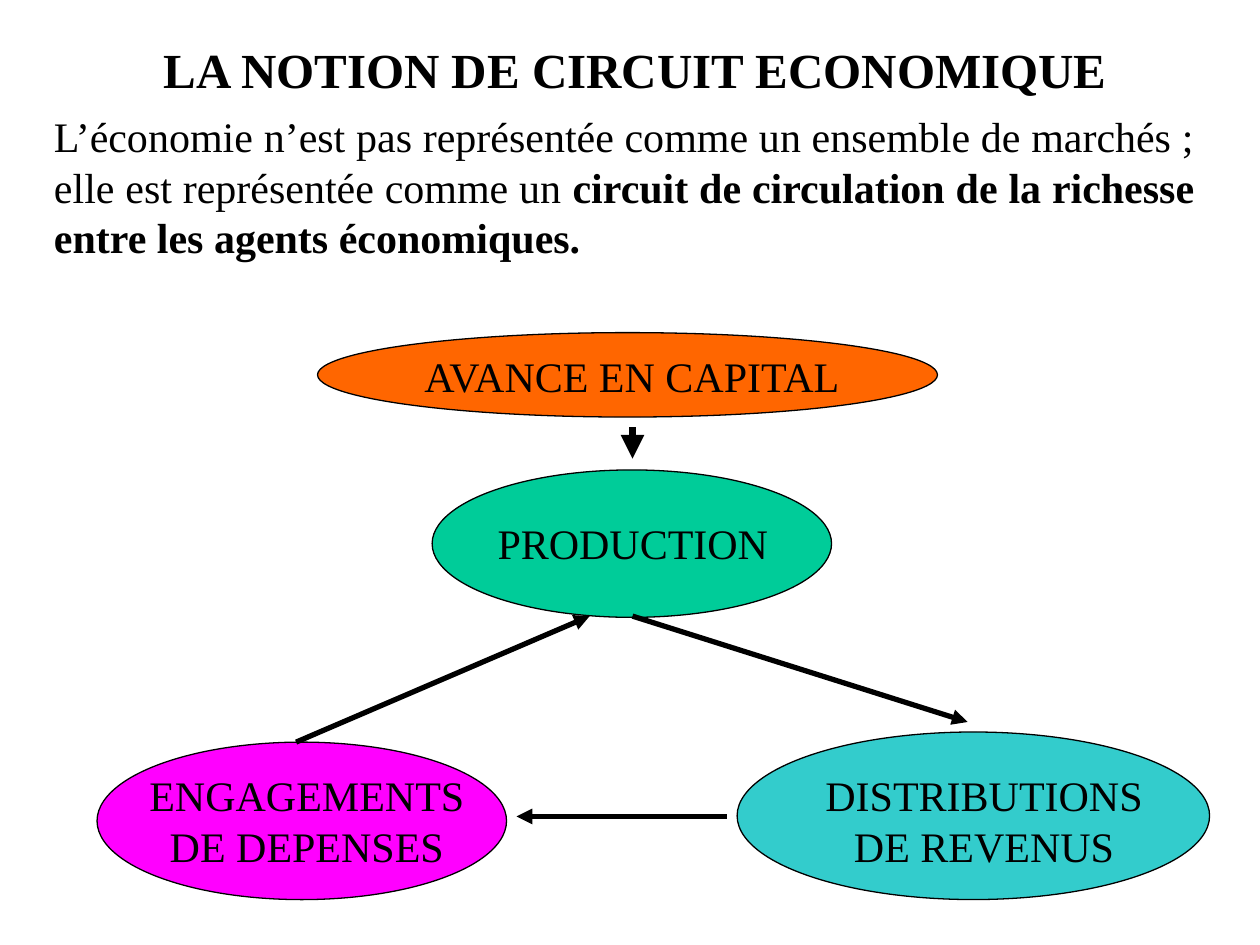
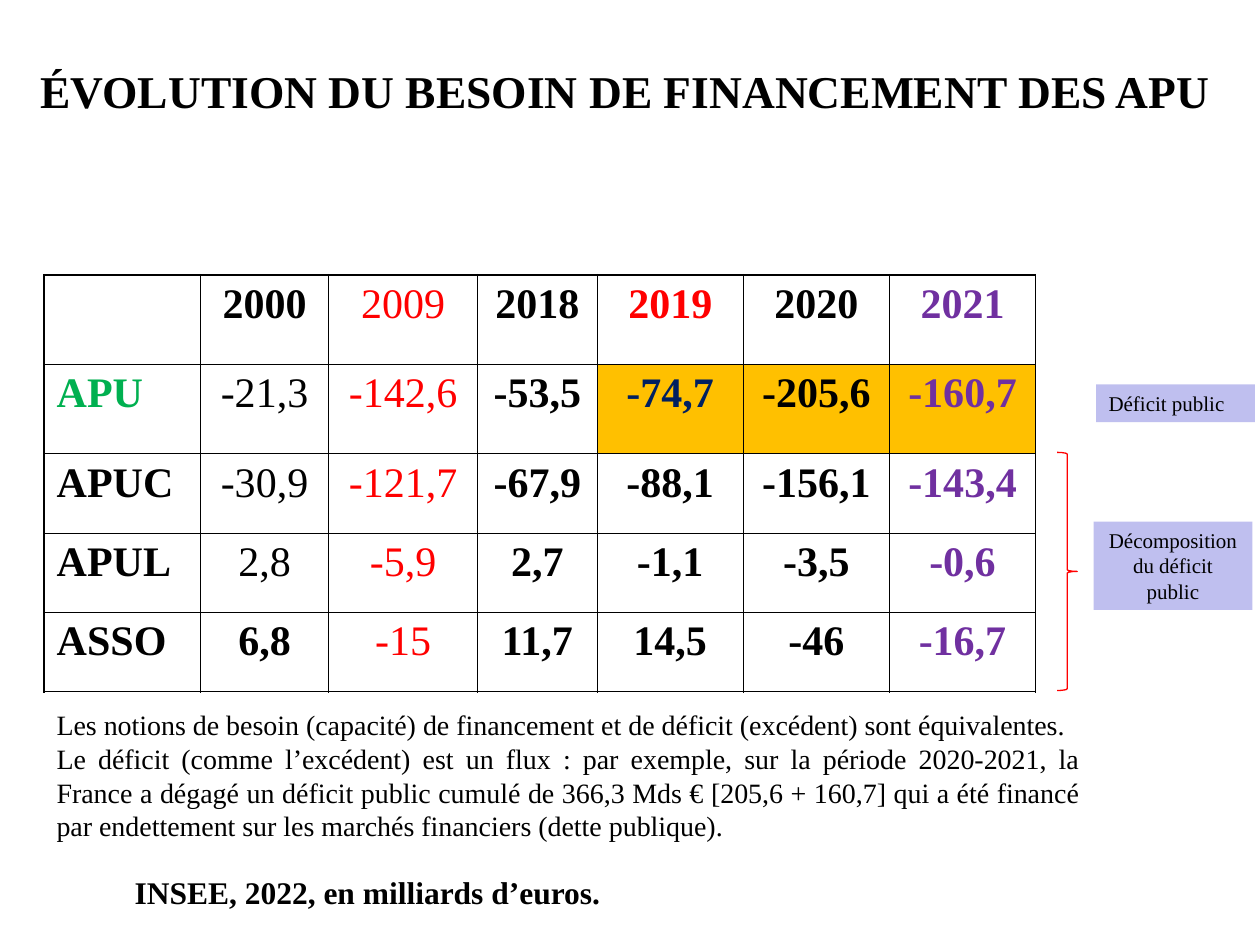
from dataclasses import dataclass

from lxml import etree
from pptx import Presentation
from pptx import util as u
from pptx.dml.color import RGBColor
from pptx.enum import shapes, text
from pptx.oxml import ns


@dataclass(frozen=True)
class Theme:
    font: str = "Times New Roman"
    black: str = "000000"
    red: str = "FF0000"
    purple: str = "7030A0"
    green: str = "00B050"
    navy: str = "002060"
    amber: str = "FFC000"
    indigo: str = "3333CC"
    capital: str = "FF6600"
    production: str = "00CC99"
    revenues: str = "33CCCC"
    spending: str = "FF00FF"
    body: int = 24
    source: int = 18
    comment: int = 16
    note: int = 12
    thin: float = 0.45
    outline: float = 0.75
    frame: float = 1.08
    arrow: float = 3


@dataclass(frozen=True)
class Box:
    left: float
    top: float
    width: float
    height: float

    def inner(self, left, top, width, height):
        return Box(self.left + left, self.top + top, width, height)

    def point(self, x, y):
        return u.Inches(self.left + x), u.Inches(self.top + y)

    @property
    def lengths(self):
        return [u.Inches(v) for v in (self.left, self.top, self.width, self.height)]


THEME = Theme()
LEFT, CENTER, JUSTIFY = (text.PP_ALIGN.LEFT, text.PP_ALIGN.CENTER,
                         text.PP_ALIGN.JUSTIFY)


# Shared helpers
def rgb(code):
    return RGBColor.from_string(code)


def write(frame, paragraphs, size, align=LEFT, color=THEME.black,
          anchor=text.MSO_ANCHOR.TOP):
    """Fill a frame; each paragraph is a list of (words, bold) runs."""
    settings = {"word_wrap": True, "auto_size": text.MSO_AUTO_SIZE.NONE,
                "vertical_anchor": anchor}
    for key, value in settings.items():
        setattr(frame, key, value)
    for index, runs in enumerate(paragraphs):
        paragraph = frame.add_paragraph() if index else frame.paragraphs[0]
        paragraph.alignment = align
        for words, bold in runs:
            run = paragraph.add_run()
            run.text = words
            font = {"name": THEME.font, "size": u.Pt(size), "bold": bold}
            for key, value in font.items():
                setattr(run.font, key, value)
            run.font.color.rgb = rgb(color)


def paint(fill, color, opacity=100):
    fill.solid()
    fill.fore_color.rgb = rgb(color)
    if opacity < 100:
        tint = fill._xPr.find(".//" + ns.qn("a:srgbClr"))
        etree.SubElement(tint, ns.qn("a:alpha"), val=str(opacity * 1000))


def add_title(slide, box, words, size):
    title = slide.shapes.title
    title.left, title.top, title.width, title.height = box.lengths
    write(title.text_frame, [[(words, True)]], size, CENTER,
          anchor=text.MSO_ANCHOR.MIDDLE)


def add_text(slide, box, paragraphs, size, align=LEFT):
    write(slide.shapes.add_textbox(*box.lengths).text_frame, paragraphs, size, align)


def add_outlined(slide, kind, box, line, fill=None):
    shape = slide.shapes.add_shape(kind, *box.lengths)
    shape.shadow.inherit = False
    shape.line.color.rgb = rgb(line)
    shape.line.width = u.Pt(THEME.outline)
    if fill:
        paint(shape.fill, fill)
    else:
        shape.fill.background()


def add_arrow(slide, start, end, width):
    arrow = slide.shapes.add_connector(shapes.MSO_CONNECTOR.STRAIGHT, *start, *end)
    arrow.line.color.rgb = rgb(THEME.black)
    arrow.line.width = u.Pt(width)
    etree.SubElement(arrow.line._get_or_add_ln(), ns.qn("a:tailEnd"), type="triangle")
    etree.SubElement(arrow._element.spPr, ns.qn("a:effectLst"))


# Slide 1: the economic circuit
def draw_circuit(slide, box):
    stages = [
        ("AVANCE EN CAPITAL", THEME.capital, LEFT,
         (1.75, 0, 4.92, 0.67), (2.5, 0.09, 3.67, 0.5)),
        ("PRODUCTION", THEME.production, LEFT,
         (2.66, 1.09, 3.17, 1.17), (3.08, 1.42, 2.58, 0.5)),
        ("DISTRIBUTIONS DE REVENUS", THEME.revenues, CENTER,
         (5.08, 3.17, 3.75, 1.33), (5.58, 3.42, 2.92, 0.9)),
        ("ENGAGEMENTS DE DEPENSES", THEME.spending, CENTER,
         (0, 3.25, 3.25, 1.25), (0.25, 3.42, 2.83, 0.9)),
    ]
    for label, color, align, oval, label_area in stages:
        add_outlined(slide, shapes.MSO_SHAPE.OVAL, box.inner(*oval), THEME.black, color)
        add_text(slide, box.inner(*label_area), [[(label, False)]], THEME.body, align)

    flows = [
        ((4.25, 0.75), (4.25, 1), THEME.arrow * 1.5),
        ((4.25, 2.25), (6.91, 3.09), THEME.arrow),
        ((5, 3.84), (3.33, 3.84), THEME.arrow),
        ((1.58, 3.25), (3.91, 2.25), THEME.arrow),
    ]
    for start, end, width in flows:
        add_arrow(slide, box.point(*start), box.point(*end), width)


def build_circuit_slide(slide):
    add_title(slide, Box(0.5, 0.17, 9.08, 0.75), "LA NOTION DE CIRCUIT ECONOMIQUE", 28)
    definition = [
        ("L’économie n’est pas représentée comme un ensemble de marchés ; "
         "elle est représentée comme un ", False),
        ("circuit de circulation de la richesse entre les agents économiques.", True),
    ]
    add_text(slide, Box(0.33, 0.83, 9.25, 1.3), [definition], THEME.body, JUSTIFY)
    draw_circuit(slide, Box(0.77, 2.64, 8.83, 4.5))


# Slide 2: public financing needs
BALANCES = [
    ["", "2000", "2009", "2018", "2019", "2020", "2021"],
    ["APU", "-21,3", "-142,6", "-53,5", "-74,7", "-205,6", "-160,7"],
    ["APUC", "-30,9", "-121,7", "-67,9", "-88,1", "-156,1", "-143,4"],
    ["APUL", "2,8", "-5,9", "2,7", "-1,1", "-3,5", "-0,6"],
    ["ASSO", "6,8", "-15", "11,7", "14,5", "-46", "-16,7"],
]
YEAR_COLORS = {2: THEME.red, 6: THEME.purple}
CELL_COLORS = {(0, 4): THEME.red, (1, 0): THEME.green, (1, 4): THEME.navy}
LIGHT_CELLS = {(1, 1), (2, 1), (3, 1)}
HIGHLIGHTED = {(1, 4), (1, 5), (1, 6)}


def set_borders(cell, outer_sides):
    properties = cell._tc.get_or_add_tcPr()
    for side in "LRTB":
        width = THEME.frame if side in outer_sides else THEME.thin
        line = etree.SubElement(properties, ns.qn(f"a:ln{side}"), w=str(u.Pt(width)))
        solid = etree.SubElement(line, ns.qn("a:solidFill"))
        etree.SubElement(solid, ns.qn("a:srgbClr"), val=THEME.black)


def add_balance_table(slide, box):
    widths = [1.24, 1.02, 1.18, 0.95, 1.16, 1.16, 1.16]
    heights = [0.71, 0.71, 0.63, 0.63, 0.63]
    last_row, last_col = len(heights) - 1, len(widths) - 1
    table = slide.shapes.add_table(len(heights), len(widths), *box.lengths).table
    table.first_row = table.horz_banding = False
    for column, width in zip(table.columns, widths):
        column.width = u.Inches(width)
    for row, height in zip(table.rows, heights):
        row.height = u.Inches(height)

    for r, values in enumerate(BALANCES):
        for c, value in enumerate(values):
            cell = table.cell(r, c)
            edges = {"L": c == 0, "R": c == last_col, "T": r == 0, "B": r == last_row}
            set_borders(cell, [side for side, outer in edges.items() if outer])
            if (r, c) in HIGHLIGHTED:
                paint(cell.fill, THEME.amber, 22)
            else:
                cell.fill.background()
            if value:
                color = CELL_COLORS.get((r, c), YEAR_COLORS.get(c, THEME.black))
                bold = c != 2 and (r, c) not in LIGHT_CELLS
                paragraph_align = CENTER if c else LEFT
                write_cell(cell, value, bold, paragraph_align, color)


def write_cell(cell, value, bold, align, color):
    paragraph = cell.text_frame.paragraphs[0]
    paragraph.alignment = align
    run = paragraph.add_run()
    run.text = value
    font = {"name": THEME.font, "size": u.Pt(THEME.body), "bold": bold}
    for key, setting in font.items():
        setattr(run.font, key, setting)
    run.font.color.rgb = rgb(color)


def add_deficit_notes(slide, box):
    notes = [("Déficit public", LEFT, (0.31, 0, 1.26, 0.3)),
             ("Décomposition du déficit public", CENTER, (0.29, 1.09, 1.26, 0.7))]
    for words, align, area in notes:
        note = slide.shapes.add_shape(shapes.MSO_SHAPE.RECTANGLE,
                                      *box.inner(*area).lengths)
        note.shadow.inherit = False
        note.line.fill.background()
        paint(note.fill, THEME.indigo, 31)
        write(note.text_frame, [[(words, False)]], THEME.note, align)
    add_outlined(slide, shapes.MSO_SHAPE.RIGHT_BRACE,
                 box.inner(0, 0.54, 0.16, 1.89), THEME.red)


def build_financing_slide(slide):
    add_title(slide, Box(0.2, 0.28, 9.53, 0.87),
              "ÉVOLUTION DU BESOIN DE FINANCEMENT DES APU", 26)
    add_balance_table(slide, Box(0.35, 2.18, 7.89, 3.31))
    add_deficit_notes(slide, Box(8.39, 3.05, 1.57, 2.43))
    comments = [
        "Les notions de besoin (capacité) de financement et de déficit (excédent) "
        "sont équivalentes.",
        "Le déficit (comme l’excédent) est un flux : par exemple, sur la période "
        "2020-2021, la France a dégagé un déficit public cumulé de 366,3 Mds € "
        "[205,6 + 160,7] qui a été financé par endettement sur les marchés "
        "financiers (dette publique).",
    ]
    add_text(slide, Box(0.35, 5.57, 8.32, 1.17), [[(words, False)] for words in comments],
             THEME.comment, JUSTIFY)
    add_text(slide, Box(0.97, 6.88, 4.02, 0.4),
             [[("INSEE, 2022, en milliards d’euros.", True)]], THEME.source)


def main():
    deck = Presentation()
    deck.slide_width, deck.slide_height = u.Inches(10), u.Inches(7.5)
    title_only = deck.slide_layouts[5]
    for build in (build_circuit_slide, build_financing_slide):
        build(deck.slides.add_slide(title_only))
    deck.save("out.pptx")


if __name__ == "__main__":
    main()
